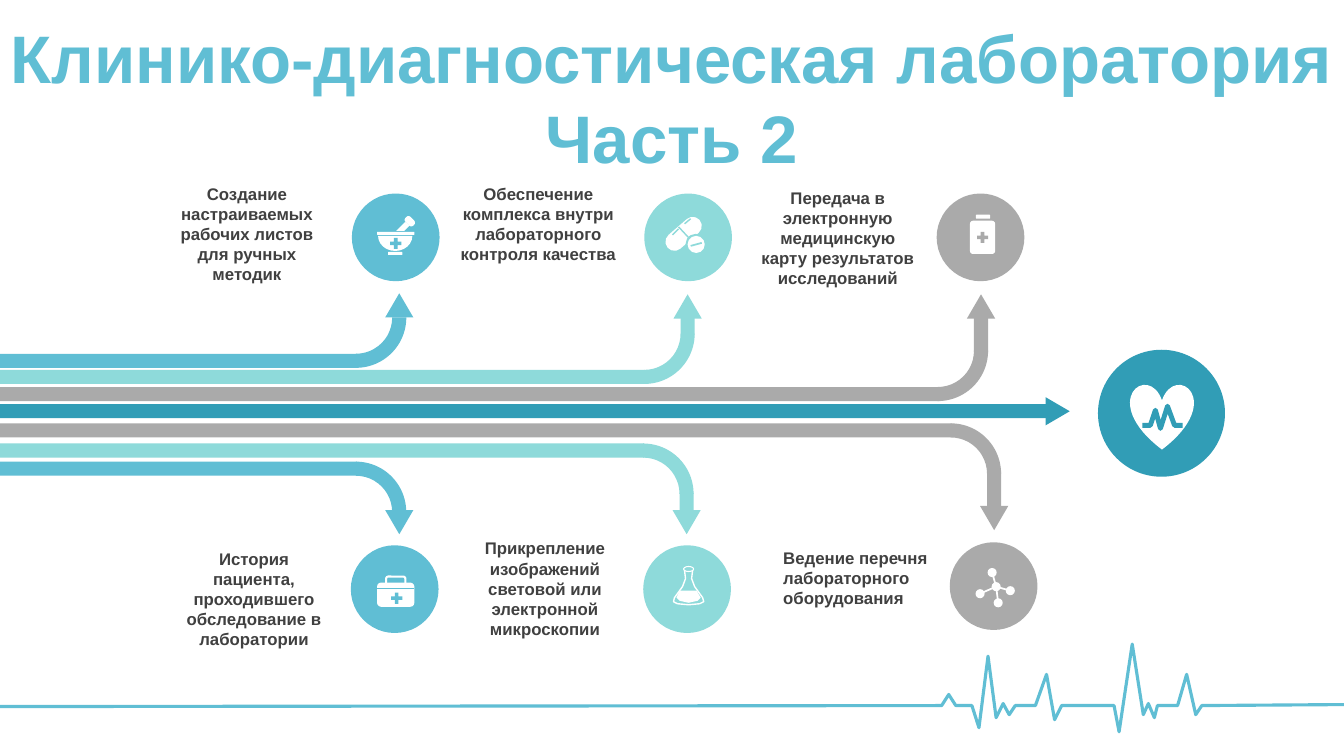
from lxml.etree import SubElement
from pptx import Presentation
from pptx.dml.color import RGBColor
from pptx.enum.shapes import MSO_SHAPE
from pptx.enum.text import PP_ALIGN
from pptx.oxml.ns import qn
from pptx.util import Inches, Pt

BLUE, MINT, GRAY, TEAL = "60BED4", "8EDADA", "AAAAAA", "319DB6"
WHITE, DARK = "FFFFFF", "404040"
BAR = 0.14
HEAD_W, HEAD_H = 0.28, 0.24

prs = Presentation()
prs.slide_width, prs.slide_height = Inches(13.33), Inches(7.5)
s = prs.slides.add_slide(prs.slide_layouts[6])


def add_solid(kind, x, y, w, h, color, rotation=0, adj=()):
    sp = s.shapes.add_shape(kind, Inches(x), Inches(y), Inches(w), Inches(h))
    sp.shadow.inherit = False
    sp.fill.solid()
    sp.fill.fore_color.rgb = RGBColor.from_string(color)
    sp.line.fill.background()
    sp.rotation = rotation
    for i, value in enumerate(adj):
        sp.adjustments[i] = value
    return sp


def add_path(points, color, width=0, close=False):
    """Draw a line of the given width, or a filled outline if width is 0."""
    (x, y), *rest = [(Inches(px), Inches(py)) for px, py in points]
    builder = s.shapes.build_freeform(x, y)
    builder.add_line_segments(rest, close=close)
    sp = builder.convert_to_shape()
    sp.shadow.inherit = False
    if width:
        sp.fill.background()
        sp.line.color.rgb = RGBColor.from_string(color)
        sp.line.width = Pt(width)
    else:
        sp.fill.solid()
        sp.fill.fore_color.rgb = RGBColor.from_string(color)
        sp.line.fill.background()


# Cardiogram along the bottom
add_path([(13.33, 6.99), (11.92, 7), (11.86, 7.09), (11.77, 6.69), (11.68, 7),
          (11.48, 7), (11.45, 7.12), (11.39, 6.98), (11.34, 7.09), (11.23, 6.39),
          (11.1, 7.26), (11.05, 7), (10.53, 7), (10.46, 7.14), (10.38, 6.69),
          (10.27, 7), (10.07, 7), (10.01, 7.09), (9.95, 6.98), (9.88, 7.12),
          (9.8, 6.51), (9.71, 7.22), (9.64, 7), (9.48, 7), (9.41, 6.89),
          (9.34, 7), (0, 7.01)], BLUE, 2.25)

# Bent arrows: colour, arc left, arc top, top of arrowhead, points up
branches = [
    (BLUE, 3.03, 2.65, 2.91, True),
    (MINT, 5.89, 2.81, 2.92, True),
    (GRAY, 8.8, 2.98, 2.92, True),
    (MINT, 5.88, 4.4, 5.06, False),
    (BLUE, 3.03, 4.58, 5.06, False),
    (GRAY, 8.93, 4.2, 5.02, False),
]
for color, x, y, head_y, up in branches:
    mid_x, mid_y = x + 0.5, y + 0.5
    add_solid(MSO_SHAPE.BLOCK_ARC, x, y, 1, 1, color, 90 if up else 0, (162, 0, 0.14))
    add_solid(MSO_SHAPE.RECTANGLE, 0, y + 1 - BAR if up else y, mid_x + 0.01, BAR, color)
    top, bottom = (head_y + HEAD_H, mid_y) if up else (mid_y, head_y)
    if bottom > top:
        add_solid(MSO_SHAPE.RECTANGLE, x + 1 - BAR, top - 0.01, BAR, bottom - top + 0.02, color)
    add_solid(MSO_SHAPE.ISOSCELES_TRIANGLE, x + 1 - BAR / 2 - HEAD_W / 2, head_y,
              HEAD_W, HEAD_H, color, 0 if up else 180)

# Straight arrow
add_solid(MSO_SHAPE.RECTANGLE, 0, 4.01, 10.41, BAR, TEAL)
add_solid(MSO_SHAPE.ISOSCELES_TRIANGLE, 10.35, 3.96, HEAD_W, HEAD_H, TEAL, 90)

# Circles
for x, y, size, color in [
    (3.49, 1.92, 0.87, BLUE), (6.39, 1.92, 0.87, MINT), (9.29, 1.92, 0.87, GRAY),
    (3.48, 5.41, 0.87, BLUE), (6.38, 5.41, 0.87, MINT), (9.42, 5.38, 0.87, GRAY),
    (10.89, 3.47, 1.26, TEAL),
]:
    add_solid(MSO_SHAPE.OVAL, x, y, size, size, color)

# Heart with pulse
add_solid(MSO_SHAPE.HEART, 11.21, 3.81, 0.63, 0.65, WHITE)
add_path([(11.33, 4.22), (11.41, 4.22), (11.46, 4.07), (11.51, 4.25), (11.58, 4.03),
          (11.65, 4.22), (11.73, 4.22)], TEAL, 3.5)

# Mortar and pestle
add_solid(MSO_SHAPE.CHORD, 3.75, 2.19, 0.34, 0.3, WHITE, adj=(0, 108))
add_solid(MSO_SHAPE.ROUNDED_RECTANGLE, 3.74, 2.3, 0.37, 0.03, WHITE)
add_solid(MSO_SHAPE.ROUNDED_RECTANGLE, 3.85, 2.5, 0.14, 0.03, WHITE)
add_path([(4.02, 2.2), (4.06, 2.24), (4.01, 2.29), (3.93, 2.29)], WHITE, close=True)
add_solid(MSO_SHAPE.ROUNDED_RECTANGLE, 4.01, 2.16, 0.11, 0.07, WHITE, 45, (0.4,))

# Capsule and tablet
add_solid(MSO_SHAPE.ROUNDED_RECTANGLE, 6.57, 2.23, 0.42, 0.18, WHITE, -41, (0.5,))
add_path([(6.73, 2.25), (6.86, 2.39)], MINT, 1)
add_path([(6.67, 2.33), (6.73, 2.27)], MINT, 1)
add_path([(6.79, 2.22), (6.85, 2.17)], MINT, 1)
add_solid(MSO_SHAPE.OVAL, 6.8, 2.32, 0.2, 0.2, MINT)
add_solid(MSO_SHAPE.OVAL, 6.82, 2.34, 0.17, 0.17, WHITE)
add_path([(6.85, 2.44), (6.96, 2.41)], MINT, 1.25)

# Medicine bottle
add_solid(MSO_SHAPE.ROUNDED_RECTANGLE, 9.62, 2.19, 0.25, 0.33, WHITE, adj=(0.12,))
add_solid(MSO_SHAPE.ROUNDED_RECTANGLE, 9.68, 2.13, 0.14, 0.04, WHITE)

# First-aid kit
handle = add_solid(MSO_SHAPE.ROUNDED_RECTANGLE, 3.83, 5.72, 0.19, 0.12, BLUE)
handle.line.color.rgb = RGBColor.from_string(WHITE)
handle.line.width = Pt(1.5)
add_solid(MSO_SHAPE.ROUNDED_RECTANGLE, 3.74, 5.78, 0.37, 0.24, WHITE)
add_path([(3.74, 5.84), (4.11, 5.84)], BLUE, 0.75)

for x, y, color in [(3.87, 2.36, BLUE), (9.69, 2.3, GRAY), (3.88, 5.88, BLUE)]:
    add_solid(MSO_SHAPE.CROSS, x, y, 0.11, 0.11, color, adj=(0.34,))

# Flask
add_path([(6.79, 5.66), (6.8, 5.74), (6.77, 5.82), (6.69, 5.93), (6.68, 5.97),
          (6.72, 5.99), (6.83, 6), (6.94, 5.99), (6.98, 5.97), (6.97, 5.93),
          (6.89, 5.82), (6.86, 5.74), (6.87, 5.66)], WHITE, 1, close=True)
add_path([(6.74, 5.86), (6.91, 5.86), (6.95, 5.93), (6.92, 5.96), (6.83, 5.98),
          (6.74, 5.96), (6.71, 5.93)], WHITE, close=True)
mouth = add_solid(MSO_SHAPE.OVAL, 6.78, 5.62, 0.1, 0.05, MINT)
mouth.line.color.rgb = RGBColor.from_string(WHITE)
mouth.line.width = Pt(0.75)

# Molecule
core = (9.88, 5.82)
for x, y in [core, (9.84, 5.68), (10.02, 5.86), (9.9, 5.98), (9.72, 5.89)]:
    if (x, y) != core:
        add_path([core, (x, y)], WHITE, 1.25)
    add_solid(MSO_SHAPE.OVAL, x - 0.045, y - 0.045, 0.09, 0.09, WHITE)

# Texts: left, top, width, height, size, colour, alignment, paragraphs
C, L = PP_ALIGN.CENTER, PP_ALIGN.LEFT
texts = [
    (0, 0.11, 13.33, 1.72, 48, BLUE, C, ["Клинико-диагностическая лаборатория", "Часть 2"]),
    (1.58, 1.77, 1.74, 1.11, 12, DARK, C,
     ["Создание настраиваемых рабочих листов для ручных методик"]),
    (4.47, 1.77, 1.74, 0.91, 12, DARK, C,
     ["Обеспечение комплекса внутри лабораторного контроля качества"]),
    (7.34, 1.81, 1.94, 1.11, 12, DARK, C,
     ["Передача в электронную медицинскую", "карту результатов исследований"]),
    (1.65, 5.39, 1.74, 1.11, 12, DARK, C,
     ["История пациента, проходившего обследование в лаборатории"]),
    (4.43, 5.29, 1.95, 1.11, 12, DARK, C,
     ["Прикрепление изображений световой или электронной микроскопии"]),
    (7.67, 5.38, 1.74, 0.71, 12, DARK, L,
     ["Ведение перечня лабораторного оборудования"]),
]
for x, y, w, h, size, color, align, lines in texts:
    tf = s.shapes.add_textbox(Inches(x), Inches(y), Inches(w), Inches(h)).text_frame
    tf.word_wrap = True
    tf.text = "\n".join(lines)
    for p in tf.paragraphs:
        p.alignment = align
        p.font.name, p.font.size, p.font.bold = "Arial", Pt(size), True
        p.font.color.rgb = RGBColor.from_string(color)
        if size == 48:
            ln = SubElement(p.runs[0].font._element, qn("a:ln"), w=str(Pt(0.75)))
            SubElement(SubElement(ln, qn("a:solidFill")), qn("a:srgbClr"), val=WHITE)

prs.save("out.pptx")
